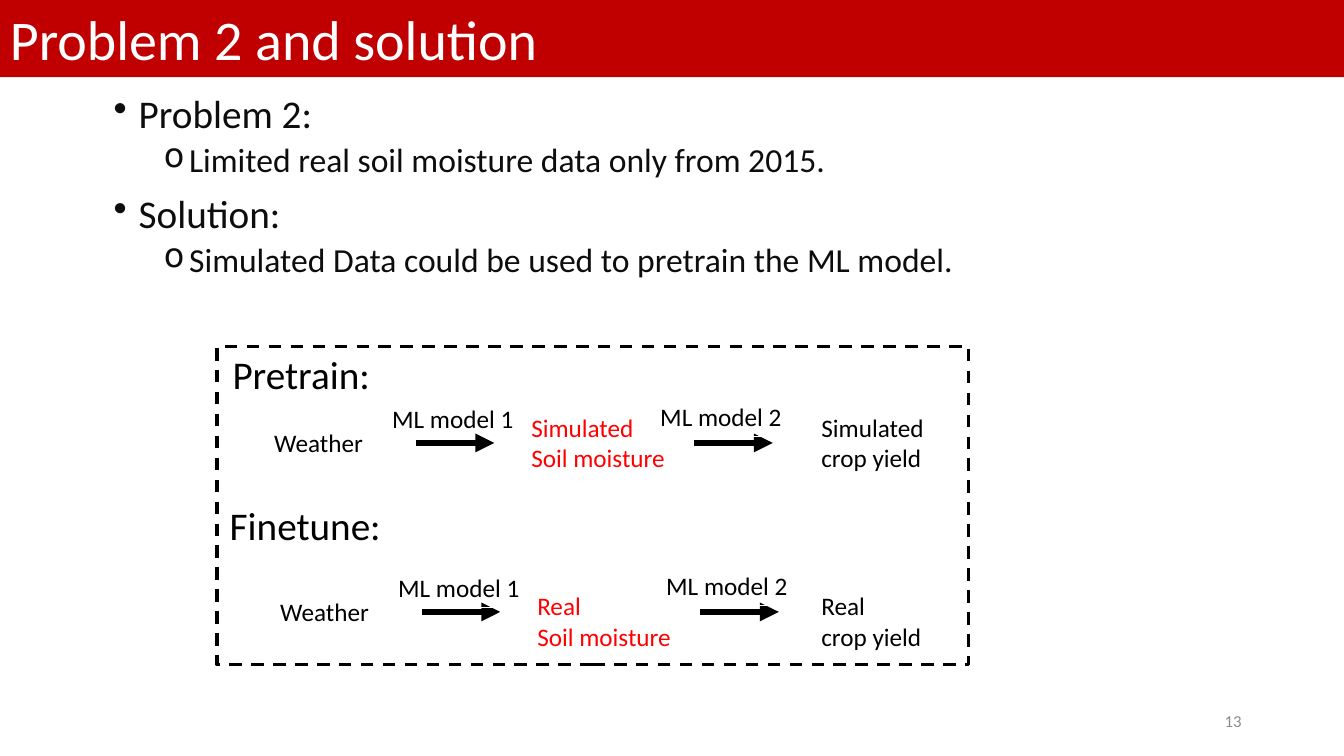
"""Build the slide on pretraining and finetuning the crop yield models."""
import pptx
import pptx.dml.color
import pptx.enum.dml
import pptx.enum.shapes
import pptx.enum.text
import pptx.oxml.ns
import pptx.util
from lxml import etree

Pt = pptx.util.Pt
qn = pptx.oxml.ns.qn
ALIGN = pptx.enum.text.PP_ALIGN
ANCHOR = pptx.enum.text.MSO_ANCHOR
COLORS = {"banner": "C00000", "white": "FFFFFF", "black": "000000",
          "body": "0D0D0D", "accent": "FF0000", "number": "8C8C8C"}
BULLETS = [
    (0, "Problem 2:"),
    (1, "Limited real soil\u00a0moisture\u00a0data only from 2015."),
    (0, "Solution:"),
    (1, "Simulated Data could be used to pretrain the ML model."),
]
BULLET_STYLES = [("•", 28, 10, 18), ("o", 24, 5, 54)]


def rgb(name):
    """Return a named colour."""
    return pptx.dml.color.RGBColor.from_string(COLORS[name])


def add_run(p, text, size, color):
    """Add one styled run to a paragraph."""
    r = p.add_run()
    r.text = text
    r.font.name = "Calibri"
    r.font.size = Pt(size)
    r.font.color.rgb = rgb(color)


def fill_text(sp, lines, size, color, align=ALIGN.LEFT, anchor=ANCHOR.TOP):
    """Write lines of text into a shape."""
    tf = sp.text_frame
    tf.word_wrap = True
    tf.vertical_anchor = anchor
    for i, line in enumerate(lines):
        p = tf.add_paragraph() if i else tf.paragraphs[0]
        p.alignment = align
        add_run(p, line, size, color)


def add_text(s, x, y, w, h, lines, size=18, color="black", **layout):
    """Add a text box."""
    sp = s.shapes.add_textbox(Pt(x), Pt(y), Pt(w), Pt(h))
    fill_text(sp, lines, size, color, **layout)


def add_box(s, x, y, w, h, fill=None, line=None, width=0.75, dash=None):
    """Add a rectangle with an optional fill and outline."""
    kind = pptx.enum.shapes.MSO_SHAPE.RECTANGLE
    sp = s.shapes.add_shape(kind, Pt(x), Pt(y), Pt(w), Pt(h))
    sp.shadow.inherit = False
    if fill:
        sp.fill.solid()
        sp.fill.fore_color.rgb = rgb(fill)
    else:
        sp.fill.background()
    if line:
        sp.line.color.rgb = rgb(line)
        sp.line.width = Pt(width)
        sp.line.dash_style = dash
    else:
        sp.line.fill.background()
    return sp


def add_arrow(s, x, y, length):
    """Add a thick horizontal arrow."""
    kind = pptx.enum.shapes.MSO_CONNECTOR.STRAIGHT
    cx = s.shapes.add_connector(kind, Pt(x), Pt(y), Pt(x + length), Pt(y))
    cx.line.color.rgb = rgb("black")
    cx.line.width = Pt(4.5)
    etree.SubElement(cx.line._get_or_add_ln(), qn("a:tailEnd"), type="triangle")
    etree.SubElement(cx._element.spPr, qn("a:effectLst"))


def add_bullets(s):
    """Add the two-level bullet list."""
    sp = s.shapes.add_textbox(Pt(74), Pt(64), Pt(857), Pt(204.5))
    tf = sp.text_frame
    tf.word_wrap = True
    for i, (level, text) in enumerate(BULLETS):
        char, size, before, indent = BULLET_STYLES[level]
        p = tf.add_paragraph() if i else tf.paragraphs[0]
        p.level = level
        p.line_spacing = 0.9
        p.space_before = Pt(before if i else 0)
        pPr = p._p.get_or_add_pPr()
        pPr.set("marL", str(Pt(indent)))
        pPr.set("indent", str(-Pt(18)))
        etree.SubElement(pPr, qn("a:buChar"), char=char)
        add_run(p, text, size, "body")


def add_stage(s, dx, dy, data, pair_y, framed):
    """Add one row running from weather through both models to crop yield."""
    add_text(s, 188.7 + dx, 301.5 + dy, 137.5, 29, ["Weather"])
    add_text(s, 372.4 + dx, pair_y, 116.6, 51,
             [data, "Soil\u00a0moisture"], color="accent")
    add_text(s, 579.6, pair_y, 98, 51, [data, "crop yield"])
    models = [("ML model 1", 273, 284.5, framed), ("ML model 2", 464.5, 283, True)]
    for name, x, y, frame in models:
        add_arrow(s, x + 24 + (x > 400) * 7.5 + dx, 316.4 + dy, 56)
        sp = add_box(s, x + dx, y + dy, 104.4, 29, line="white" if frame else None)
        fill_text(sp, [name], 18, "black")


def main():
    """Assemble the slide and save it."""
    prs = pptx.Presentation()
    prs.slide_width, prs.slide_height = Pt(960), Pt(540)
    s = prs.slides.add_slide(prs.slide_layouts[6])
    add_text(s, 678, 500.5, 216, 28.8, ["13"], 12, "number",
             align=ALIGN.RIGHT, anchor=ANCHOR.MIDDLE)
    add_bullets(s)
    banner = add_box(s, 0, -0.5, 960, 55.7, fill="banner")
    fill_text(banner, ["Problem 2 and solution"], 40, "white")
    add_stage(s, 4.3, 120.7, "Real", 418.3, True)
    add_stage(s, 0, 0, "Simulated", 291, False)
    add_text(s, 159, 247, 135.4, 41, ["Pretrain:"], 28)
    add_text(s, 157, 354.5, 135.4, 41, ["Finetune:"], 28)
    add_box(s, 155, 247.5, 537, 227.5, line="black", width=2.25,
            dash=pptx.enum.dml.MSO_LINE.DASH)
    prs.save("out.pptx")


if __name__ == "__main__":
    main()
